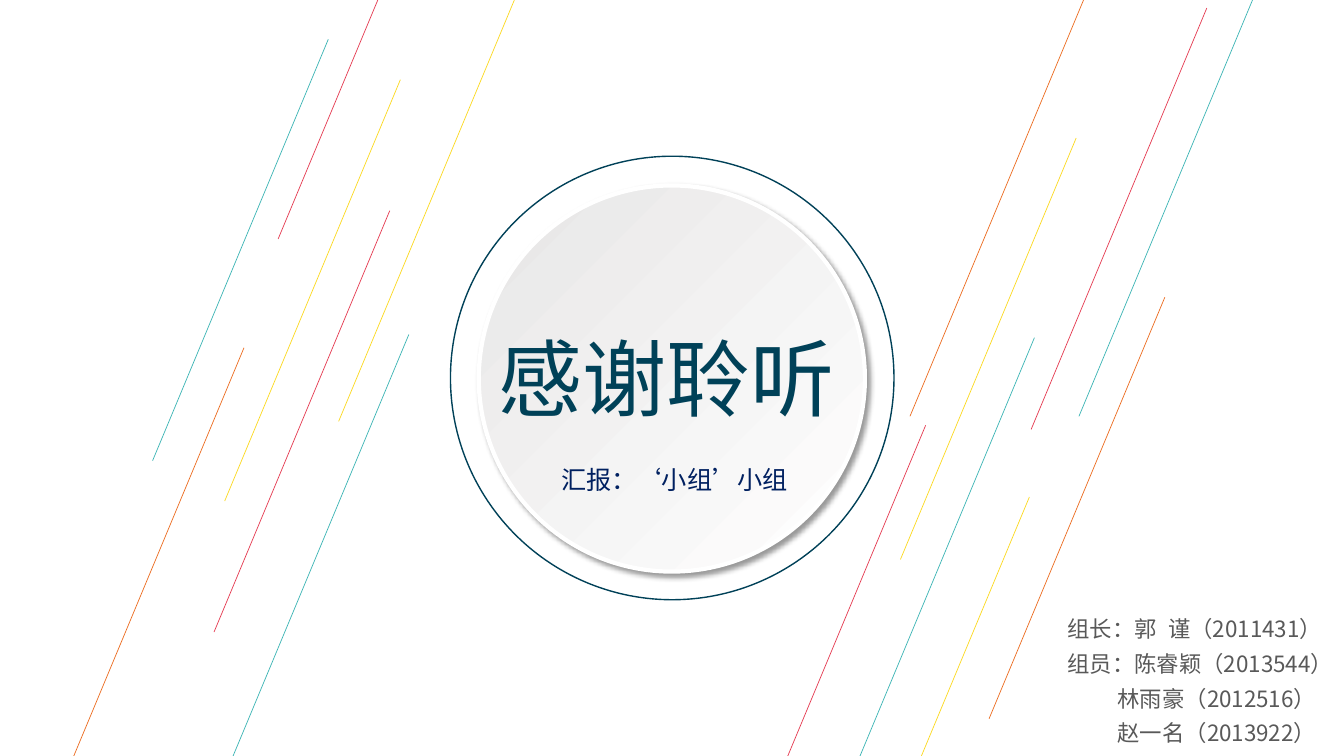
from dataclasses import dataclass
from typing import Any

from lxml import etree
from pptx import Presentation, util as u
from pptx.dml.color import RGBColor
from pptx.enum import shapes, text
from pptx.oxml import ns


@dataclass(frozen=True)
class Theme:
    navy: str = "004158"
    blue: str = "002060"
    grey: str = "595959"
    white: str = "FFFFFF"
    silver: str = "E7E6E6"
    orange: str = "EC6C20"
    yellow: str = "FCD920"
    teal: str = "3CB5B5"
    red: str = "E53B51"
    title_font: str = "Noto Sans CJK JP"
    body_font: str = "Noto Sans CJK SC"
    title_size: float = 60
    byline_size: float = 18
    members_size: float = 16


@dataclass(frozen=True)
class Streak:
    x: float
    y: float
    color: str


@dataclass(frozen=True)
class Box:
    x: float
    y: float
    w: float
    h: float


@dataclass(frozen=True)
class Style:
    font: str
    size: float
    color: str
    line_spacing: float = 1.0


@dataclass(frozen=True)
class Line:
    text: str
    indent: float = 0
    tab: float = 0


T = Theme()
STREAK_DX, STREAK_DY = -125.5, 301
MEMBER_INDENT, NAME_TAB = 35.84, 74.75

LEAD_STREAK = Streak(775.5, -3.6, T.orange)
STREAKS = [
    Streak(367.4, 0, T.yellow),
    Streak(292, 239, T.teal),
    Streak(278.4, 150.5, T.red),
    Streak(768.7, 98.6, T.yellow),
    Streak(738.9, 241.2, T.teal),
    Streak(286, 56.9, T.yellow),
    Streak(174.3, 248.4, T.orange),
    Streak(234.5, 28.1, T.teal),
    Streak(735.3, 355, T.yellow),
    Streak(896.2, -3.6, T.teal),
    Streak(862, 5.8, T.red),
    Streak(324.2, -130.3, T.red),
    Streak(661.2, 303.8, T.red),
    Streak(832, 212.4, T.orange),
]
MEMBERS = [
    Line("组长：郭\t谨（2011431）", tab=NAME_TAB),
    Line("组员：陈睿颖（2013544）"),
    Line("林雨豪（2012516）", indent=MEMBER_INDENT),
    Line("赵一名（2013922）", indent=MEMBER_INDENT),
]


def rgb(color: str) -> RGBColor:
    return RGBColor.from_string(color)


def add(parent: Any, tag: str, **attrs: Any) -> Any:
    return etree.SubElement(parent, ns.qn(tag), {k: str(v) for k, v in attrs.items()})


def draw_streak(s: Any, streak: Streak) -> None:
    c = s.shapes.add_connector(
        shapes.MSO_CONNECTOR.STRAIGHT,
        u.Pt(streak.x), u.Pt(streak.y),
        u.Pt(streak.x + STREAK_DX), u.Pt(streak.y + STREAK_DY))
    c.line.color.rgb = rgb(streak.color)
    c.line.width = u.Pt(0.5)
    add(c._element.spPr, "a:effectLst")


def draw_circle(s: Any, box: Box, color: str, width: float) -> Any:
    sp = s.shapes.add_shape(shapes.MSO_SHAPE.OVAL, u.Pt(box.x), u.Pt(box.y),
                            u.Pt(box.w), u.Pt(box.h))
    sp.shadow.inherit = False
    sp.fill.background()
    sp.line.color.rgb = rgb(color)
    sp.line.width = u.Pt(width)
    return sp


def shade_disc(sp: Any) -> None:
    sp.fill.gradient()
    sp.fill.gradient_angle = 135
    for stop, color, position in zip(sp.fill.gradient_stops, (T.white, T.silver), (0, 1)):
        stop.color.rgb = rgb(color)
        stop.position = position
    effects = sp._element.spPr.find(ns.qn("a:effectLst"))
    shadow = add(effects, "a:outerShdw", blurRad=u.Pt(4), dist=u.Pt(3),
                 dir=45 * 60000, algn="tl", rotWithShape=0)
    add(add(shadow, "a:srgbClr", val="000000"), "a:alpha", val=40000)


def write(s: Any, sp: Any, box: Box, style: Style, lines: list[Line]) -> None:
    s.shapes._spTree.append(sp._element)
    sp.left, sp.top = u.Pt(box.x), u.Pt(box.y)
    sp.width, sp.height = u.Pt(box.w), u.Pt(box.h)
    tf = sp.text_frame
    tf.word_wrap = True
    tf.auto_size = text.MSO_AUTO_SIZE.SHAPE_TO_FIT_TEXT
    tf.vertical_anchor = text.MSO_ANCHOR.TOP
    for i, line in enumerate(lines):
        p = tf.paragraphs[0] if i == 0 else tf.add_paragraph()
        p.text = line.text
        pPr = p._p.get_or_add_pPr()
        pPr.set("marL", str(u.Pt(line.indent)))
        pPr.set("indent", "0")
        add(pPr, "a:buNone")
        if line.tab:
            add(add(pPr, "a:tabLst"), "a:tab", pos=u.Pt(line.tab), algn="l")
        p.alignment = text.PP_ALIGN.LEFT
        p.line_spacing = style.line_spacing
        p.space_before = u.Pt(0)
        p.font.size = u.Pt(style.size)
        p.font.color.rgb = rgb(style.color)
        p.font.name = style.font
        add(pPr.find(ns.qn("a:defRPr")), "a:ea", typeface=style.font)


def main() -> None:
    prs = Presentation()
    prs.slide_width, prs.slide_height = u.Pt(960), u.Pt(540)
    s = prs.slides.add_slide(prs.slide_layouts[1])

    draw_streak(s, LEAD_STREAK)
    draw_circle(s, Box(321.8, 111.6, 316.8, 316.8), T.navy, 1)
    shade_disc(draw_circle(s, Box(342, 132.5, 275.8, 275.8), T.white, 3))
    for streak in STREAKS:
        draw_streak(s, streak)

    write(s, s.shapes.title, Box(349.2, 229.7, 261.4, 79.9),
          Style(T.title_font, T.title_size, T.navy), [Line("感谢聆听")])
    byline = s.shapes.add_textbox(0, 0, 0, 0)
    write(s, byline, Box(393.8, 328.3, 194.4, 28.8),
          Style(T.body_font, T.byline_size, T.blue), [Line("汇报：‘小组’小组")])
    write(s, s.placeholders[1], Box(755.3, 429.8, 737.3, 105.8),
          Style(T.body_font, T.members_size, T.grey, 1.3), MEMBERS)

    prs.save("out.pptx")


if __name__ == "__main__":
    main()
